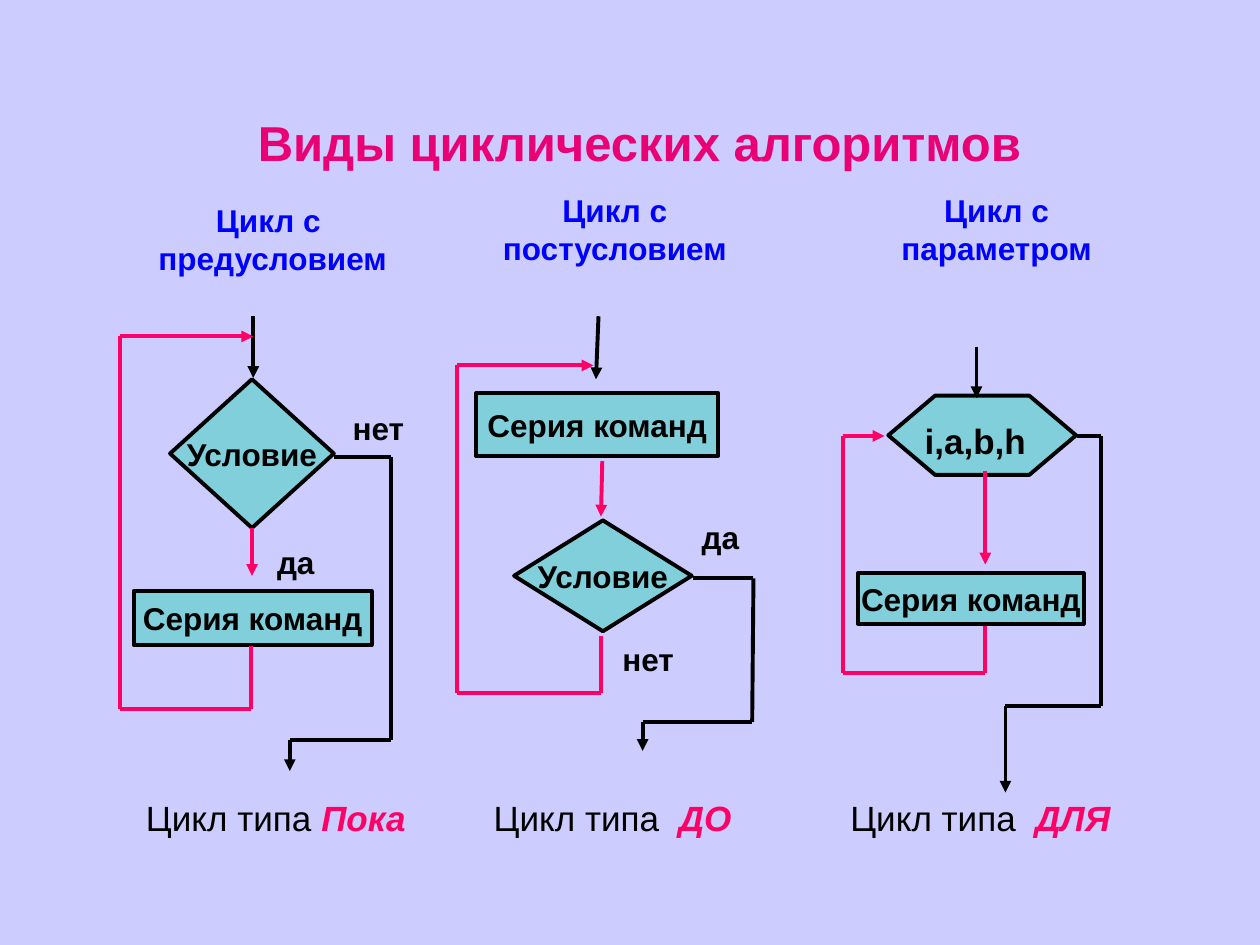
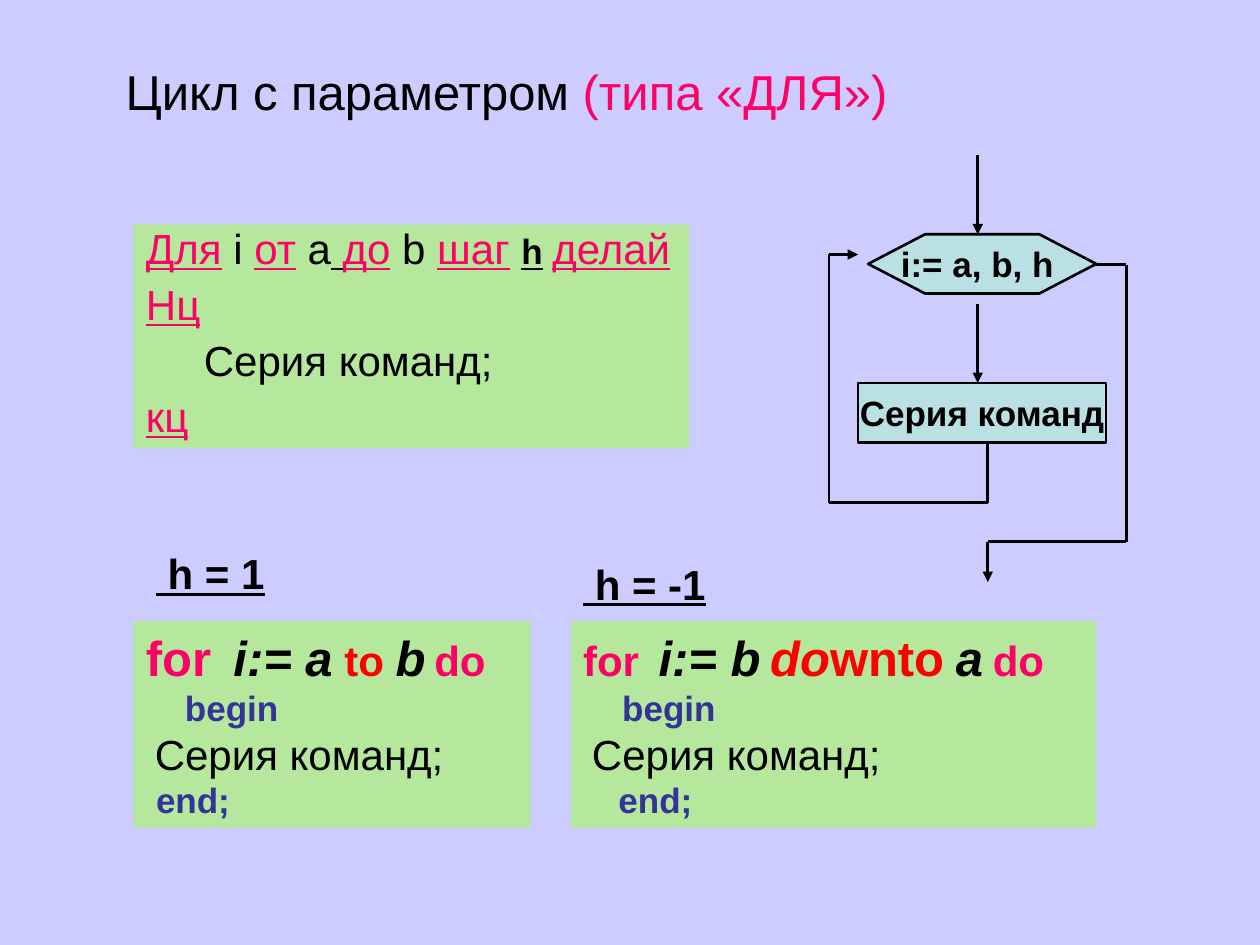
from pptx import Presentation, util as u
from pptx.dml.color import RGBColor
from pptx.enum import shapes, text
from pptx.oxml.ns import qn
from lxml import etree

# Shared look
FONT = "Arial"
BACKGROUND, BLACK, PINK, BLUE = "CCCCFF", "000000", "FF0066", "0000FF"
RED, NAVY, GREEN, TEAL, PALE = "FF0000", "333399", "B5E89C", "80CFDA", "BBE0E3"
TITLE_PINK = "EA0075"
LEFT, CENTER = text.PP_ALIGN.LEFT, text.PP_ALIGN.CENTER
DIAMOND, RECT, HEXAGON = (shapes.MSO_SHAPE.DIAMOND, shapes.MSO_SHAPE.RECTANGLE,
                          shapes.MSO_SHAPE.HEXAGON)

# Run formats; a run is plain text or (text, format)
TYPE = dict(color=PINK, bold=True, italic=True)
WORD = dict(color=PINK, underline=True)
VAR = dict(size=28, italic=True)
KEY = dict(color=PINK)

# Slide 1: three kinds of loop
KINDS_TITLE = ["Виды циклических алгоритмов"]
HEADINGS = [
    ((0.75, 1.55, 2.76, 0.7), [["Цикл с"], [" предусловием"]]),
    ((3.5, 1.47, 2.76, 0.7), [["Цикл с постусловием"]]),
    ((6.73, 1.47, 2.36, 0.7), [["Цикл с параметром"]]),
]
# Type name, room added after the space before it, box
TYPES = [
    ("Пока", 0, (1.06, 6.27, 2.6, 0.44)),
    ("ДО", 5.56, (3.82, 6.27, 2.76, 0.44)),
    ("ДЛЯ", 5.56, (6.65, 6.27, 2.28, 0.44)),
]
ANSWERS = [
    ("да", (2.1, 4.26, 0.69, 0.4)),
    ("нет", (2.7, 3.2, 0.73, 0.4)),
    ("да", (5.47, 4.06, 0.65, 0.4)),
    ("нет", (4.84, 5.03, 0.79, 0.4)),
]
# Each flowchart: blocks (shape, box, runs, size, hexagon slant) and routes
WHILE_CHART = dict(
    blocks=[
        (DIAMOND, (1.35, 3.01, 1.3, 1.18), ["Условие"], 18, None),
        (RECT, (1.06, 4.69, 1.89, 0.43), ["Серия команд"], 18, None),
    ],
    entry=[(2.01, 2.51), (2.01, 3)],
    step=[(2, 4.19), (2, 4.57)],
    loop=[(1.99, 5.13), (1.99, 5.63), (0.95, 5.63), (0.95, 2.67), (2.01, 2.67)],
    exit=[(2.65, 3.63), (3.1, 3.63), (3.1, 5.87), (2.3, 5.87), (2.3, 6.12)],
)
UNTIL_CHART = dict(
    blocks=[
        (DIAMOND, (4.08, 4.13, 1.41, 0.88), ["Условие"], 18, None),
        (RECT, (3.78, 3.12, 1.92, 0.5), ["Серия команд"], 18, None),
    ],
    entry=[(4.75, 2.51), (4.73, 3.01)],
    step=[(4.78, 3.66), (4.77, 4.1)],
    loop=[(4.77, 5.05), (4.77, 5.5), (3.63, 5.5), (3.63, 2.9), (4.71, 2.9)],
    exit=[(5.5, 4.59), (5.98, 4.59), (5.97, 5.73), (5.1, 5.73), (5.1, 5.96)],
)
FOR_CHART = dict(
    blocks=[
        (RECT, (6.81, 4.55, 1.79, 0.4), ["Серия команд"], 18, None),
        (HEXAGON, (7.05, 3.14, 1.49, 0.63), ["i,a,b,h", (" ", dict(size=28))], 20, 0.59),
    ],
    entry=[(7.75, 2.75), (7.75, 3.16)],
    step=[(7.82, 3.74), (7.82, 4.48)],
    loop=[(7.82, 4.97), (7.82, 5.34), (6.69, 5.34), (6.69, 3.46), (7.02, 3.46)],
    exit=[(8.55, 3.46), (8.74, 3.46), (8.74, 5.6), (7.98, 5.6), (7.98, 6.29)],
)

# Slide 2: the loop with a parameter
FOR_TITLE = ["Цикл с параметром", (" (типа «ДЛЯ»)", KEY)]
FOR_DETAIL_CHART = dict(
    blocks=[
        (RECT, (6.81, 3.04, 1.97, 0.47), ["Серия команд"], 20, None),
        (HEXAGON, (6.89, 1.86, 1.81, 0.47), ["i:= а, b, h "], 20, 0.96),
    ],
    entry=[(7.76, 1.23), (7.76, 1.86)],
    step=[(7.76, 2.41), (7.76, 3.04)],
    loop=[(7.84, 3.51), (7.84, 3.99), (6.58, 3.99), (6.58, 2.02), (6.81, 2.02)],
    exit=[(8.7, 2.1), (8.94, 2.1), (8.94, 4.3), (7.84, 4.3), (7.84, 4.62)],
)
ALGORITHM = [
    [("Для", WORD), " i ", ("от", WORD), " a", (" ", dict(underline=True)),
     ("до", WORD), " b ", ("шаг", WORD), (" ", dict(size=24)),
     ("h", dict(size=20, bold=True, underline=True)), (" ", dict(size=20)),
     ("делай", WORD)],
    [("Нц", WORD)],
    ["Серия команд;"],
    [("кц", WORD)],
]
# Step label and its box, panel box, first code line, indent of "end;"
PROGRAMS = [
    (" h = 1", (1.14, 4.3, 1.06, 0.5), (1.06, 4.93, 3.15, 1.64),
     [("for", dict(KEY, size=28)), (" ", dict(size=28, gap=5)), ("i:= a", VAR), " ",
      ("to ", dict(color=RED)), ("b", VAR), (" ", dict(size=18)), ("do", KEY)], 0.08),
    (" h = -1", (4.53, 4.38, 1.17, 0.5), (4.53, 4.93, 4.17, 1.64),
     [("for", KEY), (" ", dict(size=20, gap=5.56)), ("i:= b", VAR),
      (" ", dict(size=20, italic=True)), ("do", dict(VAR, color=RED)),
      ("wnto", dict(size=28, color=RED)), (" ", dict(italic=True)), ("a", VAR),
      (" ", dict(size=20)), ("do", KEY)], 0.28),
]


def rgb(value):
    return RGBColor.from_string(value)


def inches(values):
    return [u.Inches(v) for v in values]


def write(frame, paragraphs, align=LEFT, wrap=True, anchor=text.MSO_ANCHOR.TOP,
          before=0, spacing=1.0, indents=(), **base):
    """Fill a text frame; base is the run format, runs may override it."""
    frame.word_wrap, frame.vertical_anchor = wrap, anchor
    frame.auto_size = text.MSO_AUTO_SIZE.NONE
    for i, runs in enumerate(paragraphs):
        line = frame.paragraphs[0] if i == 0 else frame.add_paragraph()
        line.alignment, line.line_spacing = align, spacing
        line.space_before = u.Pt(before)
        if i < len(indents):
            props = line._p.get_or_add_pPr()
            props.set("marL", str(u.Inches(indents[i])))
            props.set("indent", "0")
        for item in runs:
            words, own = (item, {}) if isinstance(item, str) else item
            style = {"size": 18, "color": BLACK, **base, **own}
            run = line.add_run()
            run.text = words
            run.font.name, run.font.size = FONT, u.Pt(style["size"])
            run.font.color.rgb = rgb(style["color"])
            run.font.bold = style.get("bold", False)
            run.font.italic = style.get("italic", False)
            run.font.underline = style.get("underline", False)
            if style.get("gap"):
                run._r.get_or_add_rPr().set("spc", str(round(style["gap"] * 100)))


def add_label(slide, box, paragraphs, **fmt):
    write(slide.shapes.add_textbox(*inches(box)).text_frame, paragraphs, **fmt)


def add_block(slide, kind, box, fill, outline=None):
    block = slide.shapes.add_shape(kind, *inches(box))
    block.shadow.inherit = False
    block.fill.solid()
    block.fill.fore_color.rgb = rgb(fill)
    if outline:
        block.line.color.rgb = rgb(BLACK)
        block.line.width = u.Pt(outline)
    else:
        block.line.fill.background()
    return block


def add_route(slide, points, color, width, arrow=True):
    """Join the points with straight lines; the last one carries the arrowhead."""
    for start, end in zip(points, points[1:]):
        line = slide.shapes.add_connector(shapes.MSO_CONNECTOR.STRAIGHT,
                                          *inches(start + end))
        line.line.color.rgb = rgb(color)
        line.line.width = u.Pt(width)
        if arrow and end == points[-1]:
            head = etree.SubElement(line.line._get_or_add_ln(), qn("a:tailEnd"))
            head.set("type", "triangle")
        etree.SubElement(line._element.spPr, qn("a:effectLst"))


def add_flowchart(slide, chart, fill, width, loop_color):
    for kind, box, runs, size, slant in chart["blocks"]:
        block = add_block(slide, kind, box, fill, width)
        if slant:
            block.adjustments[0] = slant
        write(block.text_frame, [runs], align=CENTER, wrap=False,
              anchor=text.MSO_ANCHOR.MIDDLE, size=size, bold=True)
    for part, color in (("entry", BLACK), ("step", loop_color),
                        ("loop", loop_color), ("exit", BLACK)):
        add_route(slide, chart[part], color, width)


def add_slide(prs, title, box, **fmt):
    slide = prs.slides.add_slide(prs.slide_layouts[5])
    heading = slide.shapes.title
    heading.left, heading.top, heading.width, heading.height = inches(box)
    write(heading.text_frame, [title], align=CENTER, size=28, **fmt)
    return slide


def build_kinds(prs):
    slide = add_slide(prs, KINDS_TITLE, (1.69, 0.84, 6.77, 0.57),
                      color=TITLE_PINK, bold=True)
    for box, lines in HEADINGS:
        add_label(slide, box, lines, align=CENTER, color=BLUE, bold=True)
    for name, gap, box in TYPES:
        add_label(slide, box, [["Цикл типа", (" ", dict(gap=gap)), (name, TYPE)]], size=20)
    for chart in (WHILE_CHART, UNTIL_CHART, FOR_CHART):
        add_flowchart(slide, chart, TEAL, 2.25, PINK)
    for answer, box in ANSWERS:
        add_label(slide, box, [[answer]], bold=True)


def build_for(prs):
    slide = add_slide(prs, FOR_TITLE, (0.83, 0.44, 6.38, 0.57))
    add_flowchart(slide, FOR_DETAIL_CHART, PALE, 1.5, BLACK)
    # Algorithm in words
    panel = add_block(slide, RECT, (1.06, 1.78, 4.41, 1.78), GREEN)
    write(panel.text_frame, ALGORITHM, size=24, before=7.5, spacing=0.85,
          indents=(0, 0, 0.46, 0))
    # Programs for both steps
    for step, step_box, panel_box, first, end_indent in PROGRAMS:
        add_label(slide, step_box, [[step]], wrap=False, size=24, bold=True, underline=True)
        code = [first,
                [("begin", dict(size=20, color=NAVY))],
                [("Серия команд;", dict(bold=False))],
                [("end;", dict(size=20, color=NAVY))]]
        panel = add_block(slide, RECT, panel_box, GREEN)
        write(panel.text_frame, code, size=24, bold=True,
              indents=(0, 0.31, 0.07, end_indent))


def main():
    prs = Presentation()
    prs.slide_width, prs.slide_height = inches((10, 7.5))
    backdrop = prs.slide_master.background.fill
    backdrop.solid()
    backdrop.fore_color.rgb = rgb(BACKGROUND)
    build_kinds(prs)
    build_for(prs)
    prs.save("out.pptx")


if __name__ == "__main__":
    main()
